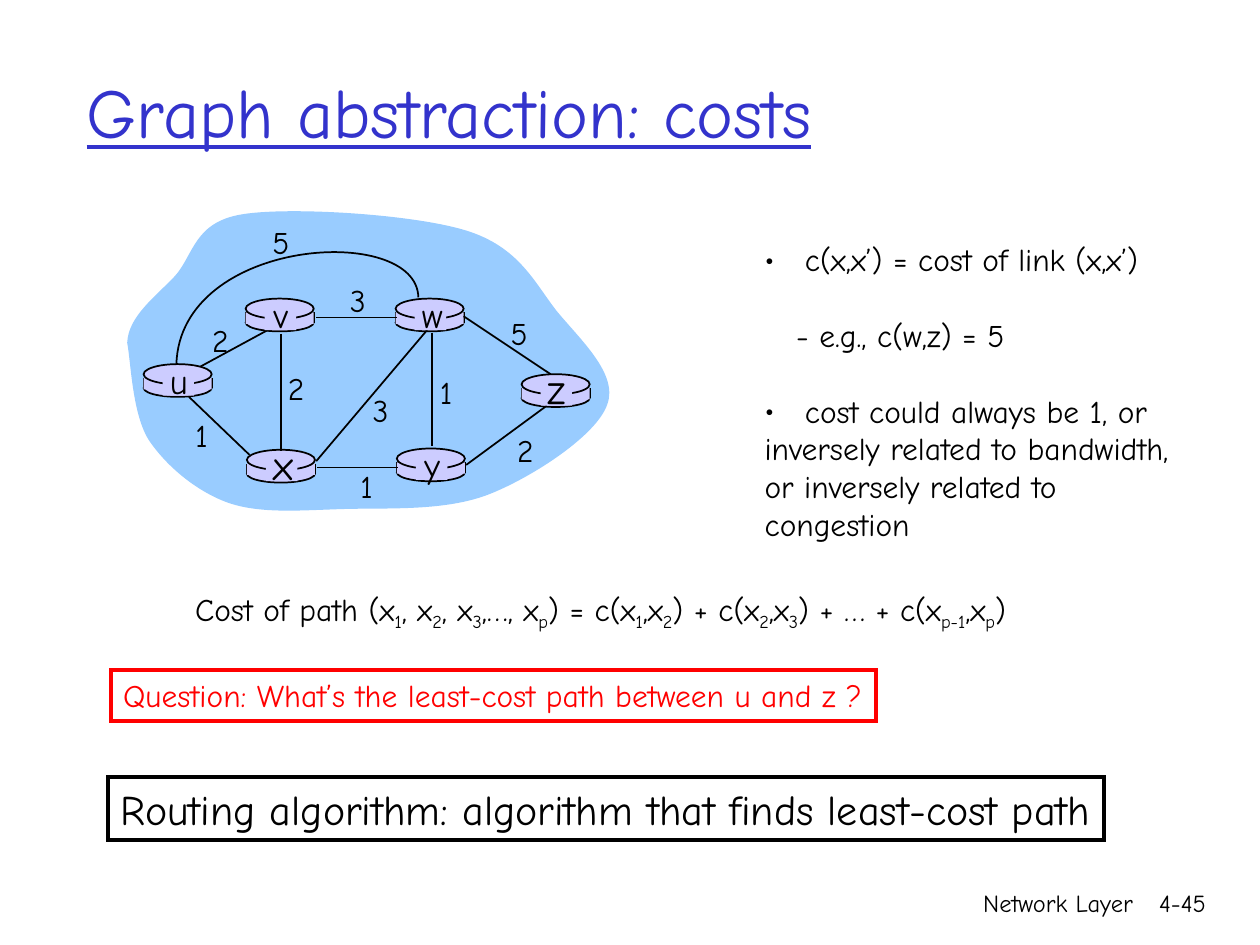
from pptx import Presentation
from pptx.dml.color import RGBColor
from pptx.enum.shapes import MSO_CONNECTOR, MSO_SHAPE
from pptx.enum.text import MSO_ANCHOR, PP_ALIGN
from pptx.oxml.ns import qn
from pptx.util import Inches, Pt
from lxml.etree import SubElement

FONT = "Comic Neue"
COLORS = {"ink": "000000", "title": "3333CC", "cloud": "99CCFF",
          "router": "CCCCFF", "alert": "FF0000"}
CLOUD = [(.01, 1.22), (.02, 1.01), (.23, .86), (.39, .69), (.54, .52),
         (.54, .26), (.93, .2), (1.31, .14), (2.28, .2), (2.7, .33),
         (3.12, .46), (3.24, .74), (3.42, .97), (3.61, 1.2), (3.91, 1.47),
         (3.82, 1.71), (3.74, 1.95), (3.24, 2.28), (2.89, 2.42),
         (2.54, 2.56), (2.08, 2.53), (1.73, 2.54), (1.39, 2.55),
         (1.07, 2.58), (.81, 2.49), (.56, 2.4), (.32, 2.2), (.18, 1.99),
         (.05, 1.78), (.04, 1.38), (.01, 1.22)]
ARC = [(2.32, .86), (2.31, .27), (.43, .38), (.4, 1.39)]
ROUTERS = [("u", .14, 1.39, 20), ("x", .96, 2.07, 24), ("v", .95, .87, 20),
           ("w", 2.14, .87, 20), ("y", 2.15, 2.06, 20), ("z", 3.14, 1.47, 24)]
LINKS = [(.59, 1.41, 1.18, 1.09), (2.43, 1.14, 2.43, 2.04),
         (1.23, 1.15, 1.23, 2.08), (1.51, 2.16, 2.39, 1.12),
         (2.7, 2.19, 3.34, 1.72), (1.52, 2.21, 2.16, 2.21),
         (.5, 1.65, .98, 2.11), (1.51, 1.02, 2.15, 1.02),
         (2.68, 1.01, 3.37, 1.47)]
COSTS = [("2", .75, 1.2), ("2", 1.35, 1.58), ("1", .6, 1.95),
         ("3", 2.02, 1.75), ("1", 1.91, 2.36), ("1", 2.54, 1.61),
         ("2", 3.17, 2.07), ("5", 3.12, 1.14), ("3", 1.84, .88),
         ("5", 1.23, .42)]
NOTES = [("c(x,x’) = cost of link (x,x’)", .32, True, 0),
         ("- e.g., c(w,z) = 5", .25, False, 21.6),
         ("cost could always be 1, or", .32, True, 21.6),
         ("inversely related to bandwidth,", 0, False, 0),
         ("or inversely related to", 0, False, 0),
         ("congestion", 0, False, 0)]
FORMULA = ("Cost of path (x|1|, x|2|, x|3|,…, x|p|) = c(x|1|,x|2|) + "
           "c(x|2|,x|3|) + … + c(x|p-1|,x|p|)")


def rgb(name):
    """Return the named colour."""
    return RGBColor.from_string(COLORS[name])


def style(font, size, color="ink"):
    """Set face, size and colour of a font."""
    font.name, font.size = FONT, Pt(size)
    font.color.rgb = rgb(color)


def paint(shape, fill=None, line=None, width=1):
    """Set fill and outline of a shape and drop its shadow."""
    shape.shadow.inherit = False
    if fill:
        shape.fill.solid()
        shape.fill.fore_color.rgb = rgb(fill)
    else:
        shape.fill.background()
    if line:
        shape.line.color.rgb = rgb(line)
        shape.line.width = Pt(width)
        SubElement(shape._element.spPr.find(qn("a:ln")), qn("a:miter")).set("lim", "800000")
    else:
        shape.line.fill.background()


def solid(slide, kind, x, y, w, h, fill, line=None, width=1):
    """Add a painted preset shape."""
    shape = slide.shapes.add_shape(kind, Inches(x), Inches(y), Inches(w), Inches(h))
    paint(shape, fill, line, width)
    return shape


def write(shape, text, size, color="ink", align=PP_ALIGN.LEFT, wrap=False,
          anchor=MSO_ANCHOR.TOP):
    """Put one styled paragraph in a shape."""
    frame = shape.text_frame
    frame.word_wrap, frame.vertical_anchor = wrap, anchor
    para = frame.paragraphs[0]
    para.text, para.alignment = text, align
    for run in para.runs:
        style(run.font, size, color)
    return para


def area(slide, x, y, w, h):
    """Add an empty text box."""
    return slide.shapes.add_textbox(Inches(x), Inches(y), Inches(w), Inches(h))


def label(slide, text, x, y, size):
    """Write a short label centred on a point."""
    high = size / 46
    write(area(slide, x - .17, y - high / 2, .34, high), text, size,
          align=PP_ALIGN.CENTER, anchor=MSO_ANCHOR.MIDDLE)


def line(slide, x1, y1, x2, y2):
    """Draw a thin straight line."""
    link = slide.shapes.add_connector(
        MSO_CONNECTOR.STRAIGHT, Inches(x1), Inches(y1), Inches(x2), Inches(y2))
    link.line.color.rgb, link.line.width = rgb("ink"), Pt(1)
    SubElement(link._element.spPr, qn("a:effectLst"))


def curve(slide, x, y, knots, close, fill=None, edge=None):
    """Draw a chain of cubic curves as a freeform."""
    dots = [(Inches(x + a), Inches(y + b)) for a, b in knots]
    pen = slide.shapes.build_freeform(*dots[0])
    pen.add_line_segments(dots[1:], close=close)
    shape = pen.convert_to_shape()
    legs = list(shape._element.spPr.iter(qn("a:lnTo")))
    for i in range(0, len(knots) - 1, 3):
        bend = SubElement(legs[i].getparent(), qn("a:cubicBezTo"))
        legs[i].addprevious(bend)
        for leg in legs[i:i + 3]:
            bend.append(leg[0])
            leg.getparent().remove(leg)
    paint(shape, fill, edge)


def router(slide, x, y):
    """Draw a disc-shaped router."""
    solid(slide, MSO_SHAPE.OVAL, x, y + .12, .54, .14, "router", "ink")
    for side in (x, x + .54):
        line(slide, side, y + .11, side, y + .19)
    solid(slide, MSO_SHAPE.RECTANGLE, x, y + .11, .54, .09, "router")
    solid(slide, MSO_SHAPE.OVAL, x, y, .54, .16, "router", "ink")


def badge(slide, x, y, name, size):
    """Write the name on a router."""
    solid(slide, MSO_SHAPE.RECTANGLE, x + .15, y + .02, .25, .23, "router")
    label(slide, name, x + .28, y + .23 - size / 200, size)


def graph(slide, x, y):
    """Draw the network with its link costs."""
    curve(slide, x, y, CLOUD, True, fill="cloud")
    for i, (x1, y1, x2, y2) in enumerate(LINKS):
        line(slide, x + x1, y + y1, x + x2, y + y2)
        if i == 0:
            for _, left, top, _ in ROUTERS:
                router(slide, x + left, y + top)
    curve(slide, x, y, ARC, False, edge="ink")
    for name, left, top, size in ROUTERS:
        badge(slide, x + left, y + top, name, size)
    for cost, left, top in COSTS:
        label(slide, cost, x + left, y + top, 18)


def notes(slide, x, y, w, h):
    """Write the list that explains link costs."""
    frame = area(slide, x, y, w, h).text_frame
    frame.word_wrap = False
    for i, (text, left, dot, gap) in enumerate(NOTES):
        para = frame.add_paragraph() if i else frame.paragraphs[0]
        para.text = text
        props = para._p.get_or_add_pPr()
        props.set("marL", str(Inches(left)))
        props.set("indent", str(-Inches(left) if dot else 0))
        if gap:
            para.space_before = Pt(gap)
        if dot:
            SubElement(props, qn("a:buFont")).set("typeface", FONT)
            SubElement(props, qn("a:buChar")).set("char", "•")
        style(para.runs[0].font, 18)


def formula(slide, x, y, w, h):
    """Write the path cost with lowered indices."""
    para = write(area(slide, x, y, w, h), "", 18)
    for i, part in enumerate(FORMULA.split("|")):
        run = para.add_run()
        run.text = part
        style(run.font, 18)
        if i % 2:
            run.font._element.set("baseline", "-25000")


def banner(slide, x, y, w, h, text, size, color):
    """Write a line of text in an outlined box."""
    box = solid(slide, MSO_SHAPE.RECTANGLE, x, y, w, h, None, color, 2.25)
    write(box, text, size, color)


def main():
    """Build and save the slide."""
    deck = Presentation()
    deck.slide_width, deck.slide_height = Inches(10), Inches(7.5)
    slide = deck.slides.add_slide(deck.slide_layouts[6])
    title = write(area(slide, .59, .25, 8.5, 1.25), "Graph abstraction: costs",
                  40, "title", wrap=True, anchor=MSO_ANCHOR.MIDDLE)
    title.runs[0].font.underline = True
    graph(slide, 1, 1.5)
    notes(slide, 5.97, 1.86, 3.43, 2.5)
    formula(slide, 1.45, 4.63, 6.8, .44)
    banner(slide, .88, 5.32, 6.07, .4,
           "Question: What’s the least-cost path between u and z ?", 18, "alert")
    banner(slide, .86, 6.17, 7.9, .5,
           "Routing algorithm: algorithm that finds least-cost path", 24, "ink")
    for text, x, w in (("Network Layer", 5.92, 3.17), ("4-45", 8.93, .74)):
        write(area(slide, x, 7, w, .5), text, 14, align=PP_ALIGN.RIGHT, wrap=True)
    deck.save("out.pptx")


if __name__ == "__main__":
    main()
